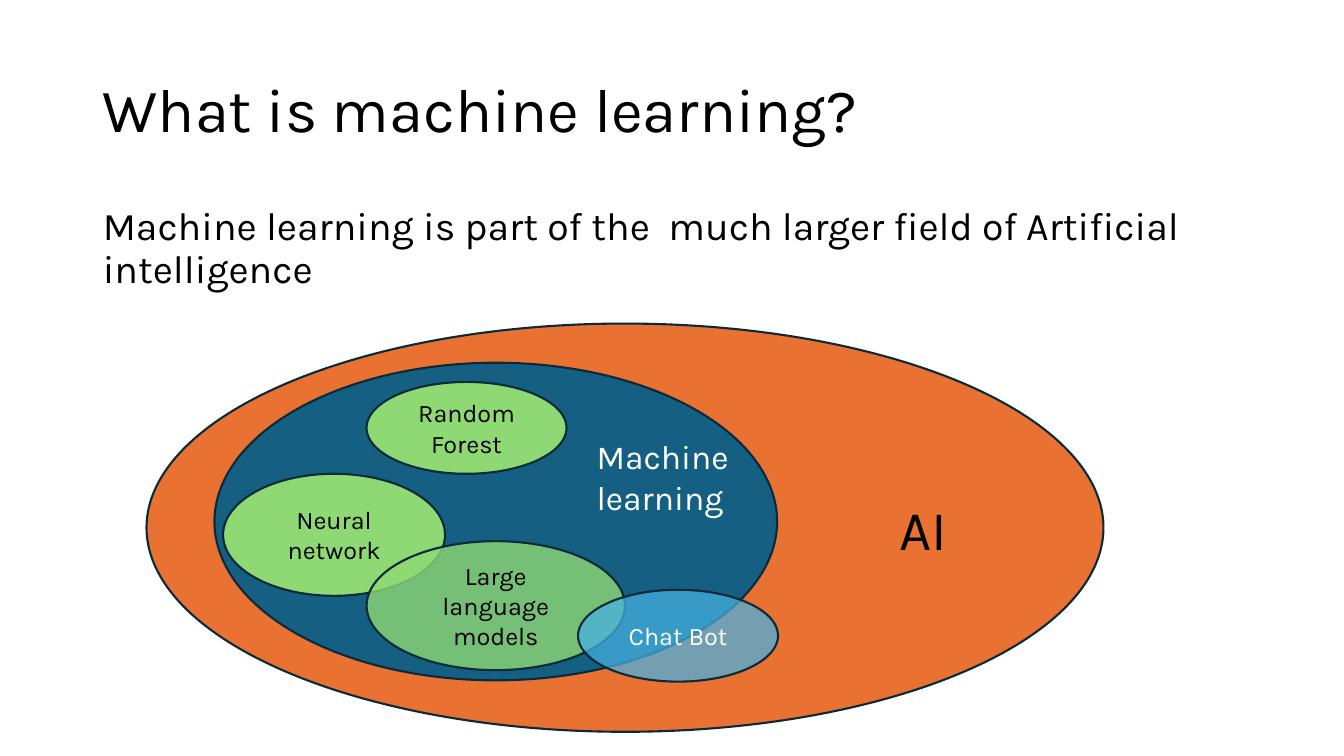
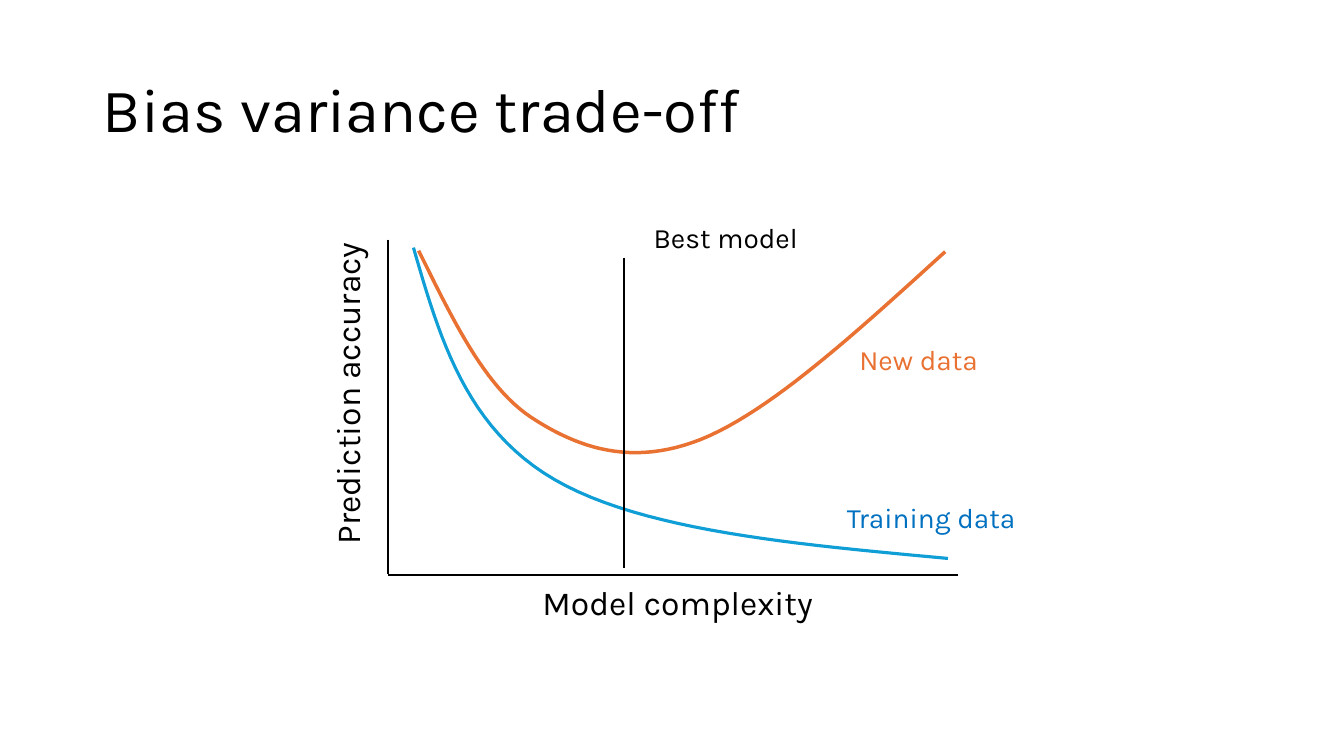
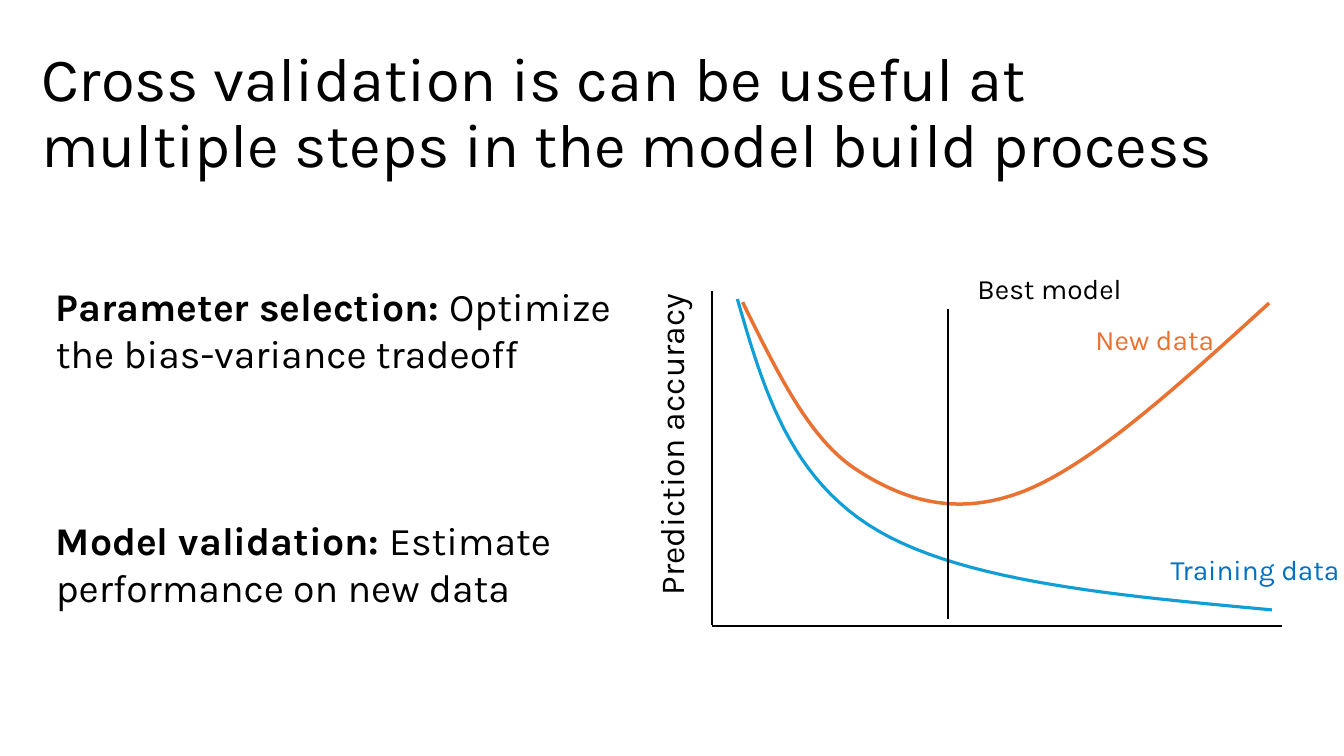
from typing import NamedTuple

from lxml import etree
from pptx import Presentation
from pptx import util as u
from pptx.dml.color import RGBColor
from pptx.enum import shapes, text
from pptx.oxml.ns import qn

FONT = "Karla"
BLACK = RGBColor(0x00, 0x00, 0x00)
WHITE = RGBColor(0xFF, 0xFF, 0xFF)
ORANGE = RGBColor(0xE9, 0x71, 0x32)
TEAL = RGBColor(0x15, 0x60, 0x82)
GREEN = RGBColor(0x8E, 0xD9, 0x73)
SKY = RGBColor(0x46, 0xB1, 0xE1)
CURVE = RGBColor(0x0F, 0x9E, 0xD5)
BLUE = RGBColor(0x00, 0x70, 0xC0)
EDGE = RGBColor(0x09, 0x2A, 0x39)


class Box(NamedTuple):
    x: int
    y: int
    w: int
    h: int

    def spot(self, x, y):
        """Point at x, y percent of the box."""
        return int(self.x + self.w * x / 100), int(self.y + self.h * y / 100)

    def inner(self, x, y, w, h):
        """Smaller box, in percent of this one."""
        return Box(*self.spot(x, y), int(self.w * w / 100), int(self.h * h / 100))


PAGE = Box(0, 0, u.Inches(13.33), u.Inches(7.5))
PLOT = (42.4, 44.3)

# Bezier points, in percent of the plot
TRAIN = [(4.4, 2.4), (9, 29.5), (13.6, 56.3), (29.2, 71.7),
         (44.8, 87), (71.5, 91), (98.2, 95.2)]
FRESH = [(5.3, 3.3), (11.2, 23.5), (16.8, 43.7), (25, 53), (33.3, 62.3),
         (42.8, 67.8), (54.9, 59.6), (67.1, 51.2), (82.3, 27.4), (97.7, 3.6)]


def style(run, size, color=BLACK, bold=False):
    font = run.font
    font.name, font.size, font.bold = FONT, u.Pt(size), bold
    font.color.rgb = color


def move(shape, box):
    shape.left, shape.top, shape.width, shape.height = box


def start(deck, layout, title, box):
    """Add a slide with its title."""
    slide = deck.slides.add_slide(deck.slide_layouts[layout])
    head = slide.shapes.title
    move(head, box)
    frame = head.text_frame
    frame.text = title
    frame.auto_size = text.MSO_AUTO_SIZE.NONE
    frame.vertical_anchor = text.MSO_ANCHOR.MIDDLE
    para = frame.paragraphs[0]
    para.alignment = text.PP_ALIGN.LEFT
    para.line_spacing = 0.9
    style(para.runs[0], 44)
    return slide


def body(slide, box, paras, pitch=1.0, gap=0):
    """Fill the body placeholder; each paragraph is (bold lead, rest)."""
    hold = slide.placeholders[1]
    move(hold, box)
    frame = hold.text_frame
    frame.auto_size = text.MSO_AUTO_SIZE.NONE
    for i, (lead, rest) in enumerate(paras):
        para = frame.add_paragraph() if i else frame.paragraphs[0]
        props = para._p.get_or_add_pPr()
        props.set("marL", "0")
        props.set("indent", "0")
        etree.SubElement(props, qn("a:buNone"))
        para.line_spacing = pitch
        para.space_before = u.Pt(gap if i else 0)
        for words, bold in ((lead, True), (rest, False)):
            if words:
                run = para.add_run()
                run.text = words
                style(run, 28, bold=bold)


def label(slide, box, words, size, color=BLACK, turn=0):
    shape = slide.shapes.add_textbox(*box)
    shape.rotation = turn
    frame = shape.text_frame
    frame.word_wrap = True
    frame.margin_right = 0
    frame.text = words
    style(frame.paragraphs[0].runs[0], size, color)


def oval(slide, box, fill, words="", color=BLACK, alpha=100):
    shape = slide.shapes.add_shape(shapes.MSO_SHAPE.OVAL, *box)
    shape.shadow.inherit = False
    shape.fill.solid()
    shape.fill.fore_color.rgb = fill
    shape.line.color.rgb = EDGE
    shape.line.width = u.Pt(1.5)
    if alpha < 100:
        tint = shape._element.spPr.find(qn("a:solidFill"))[0]
        etree.SubElement(tint, qn("a:alpha")).set("val", str(alpha * 1000))
    if words:
        frame = shape.text_frame
        frame.text = words
        frame.vertical_anchor = text.MSO_ANCHOR.MIDDLE
        frame.paragraphs[0].alignment = text.PP_ALIGN.CENTER
        style(frame.paragraphs[0].runs[0], 18, color)


def venn(slide, box):
    oval(slide, box, ORANGE)
    for place, *look in (
        ((7.1, 9.6, 58.8, 77.8), TEAL),
        ((23, 14.3, 20.9, 22.5), GREEN, "Random Forest"),
        ((8, 36.8, 23.2, 29.9), GREEN, "Neural network"),
        ((23, 53.3, 27, 31.6), GREEN, "Large language models", BLACK, 80),
        ((45.1, 65.2, 20.9, 22.5), SKY, "Chat Bot", WHITE, 72),
    ):
        oval(slide, box.inner(*place), *look)
    label(slide, box.inner(77.6, 40.7, 13.8, 19), "AI", 40)
    label(slide, box.inner(46, 26.4, 20.9, 22.5), "Machine learning", 24, WHITE)


def rule(slide, box, begin, end):
    line = slide.shapes.add_connector(
        shapes.MSO_CONNECTOR.STRAIGHT, *box.spot(*begin), *box.spot(*end))
    line.line.color.rgb = BLACK
    line.line.width = u.Pt(1.5)
    etree.SubElement(line._element.spPr, qn("a:effectLst"))


def bezier(knots, steps=24):
    """Points along joined cubic curves."""
    yield knots[0]
    for k in range(0, len(knots) - 1, 3):
        for s in range(1, steps + 1):
            t = s / steps
            mix = ((1 - t) ** 3, 3 * t * (1 - t) ** 2,
                   3 * t * t * (1 - t), t ** 3)
            yield tuple(sum(f * p[axis] for f, p in zip(mix, knots[k:k + 4]))
                        for axis in (0, 1))


def curve(slide, box, knots, color, width):
    first, *rest = [box.spot(*p) for p in bezier(knots)]
    pen = slide.shapes.build_freeform(*first)
    pen.add_line_segments(rest, close=False)
    shape = pen.convert_to_shape()
    shape.shadow.inherit = False
    shape.fill.background()
    shape.line.color.rgb = color
    shape.line.width = u.Pt(width)


def plot(slide, box, fresh, base=""):
    """Error curves; fresh is the place of the label for new data."""
    rule(slide, box, (0, 0), (0, 99.7))
    rule(slide, box, (100, 100), (0, 100))
    if base:
        label(slide, box.inner(25.3, 100.6, 60.7, 15), base, 24)
    label(slide, box.inner(-35.9, 37.7, 57.2, 15), "Prediction accuracy", 24, turn=270)
    curve(slide, box, TRAIN, CURVE, 2.25)
    curve(slide, box, FRESH, ORANGE, 2.5)
    rule(slide, box, (41.4, 5.4), (41.4, 98))
    for spot, words, color in (
        ((78.7, 76.5), "Training data", BLUE),
        (fresh, "New data", ORANGE),
        ((44.8, -7.2), "Best model", BLACK),
    ):
        label(slide, box.inner(*spot, 31.9, 13.2), words, 20, color)


def main():
    deck = Presentation()
    deck.slide_width, deck.slide_height = PAGE.w, PAGE.h

    slide = start(deck, 1, "What is machine learning?",
                  PAGE.inner(6.9, 5.3, 86.3, 19.3))
    body(slide, PAGE.inner(6.9, 26.7, 86.3, 15),
         [("", "Machine learning is part of the  much larger field of "
               "Artificial intelligence")], pitch=0.9)
    venn(slide, PAGE.inner(10.9, 42.8, 71.2, 54))

    slide = start(deck, 5, "Bias variance trade-off",
                  PAGE.inner(6.9, 5.3, 88, 19.3))
    plot(slide, PAGE.inner(28.9, 31.7, *PLOT), (80.9, 29.2), "Model complexity")

    slide = start(deck, 1, "Cross validation is can be useful at multiple "
                  "steps in the model build process",
                  PAGE.inner(2.3, 5.5, 89.5, 19.3))
    body(slide, PAGE.inner(3.4, 36.7, 43, 45.3),
         [("Parameter selection: ", "Optimize the bias-variance tradeoff"),
          ("Model validation: ", "Estimate performance on new data")], gap=100)
    plot(slide, PAGE.inner(53, 38.5, *PLOT), (65.5, 7.8))

    deck.save("out.pptx")


if __name__ == "__main__":
    main()
